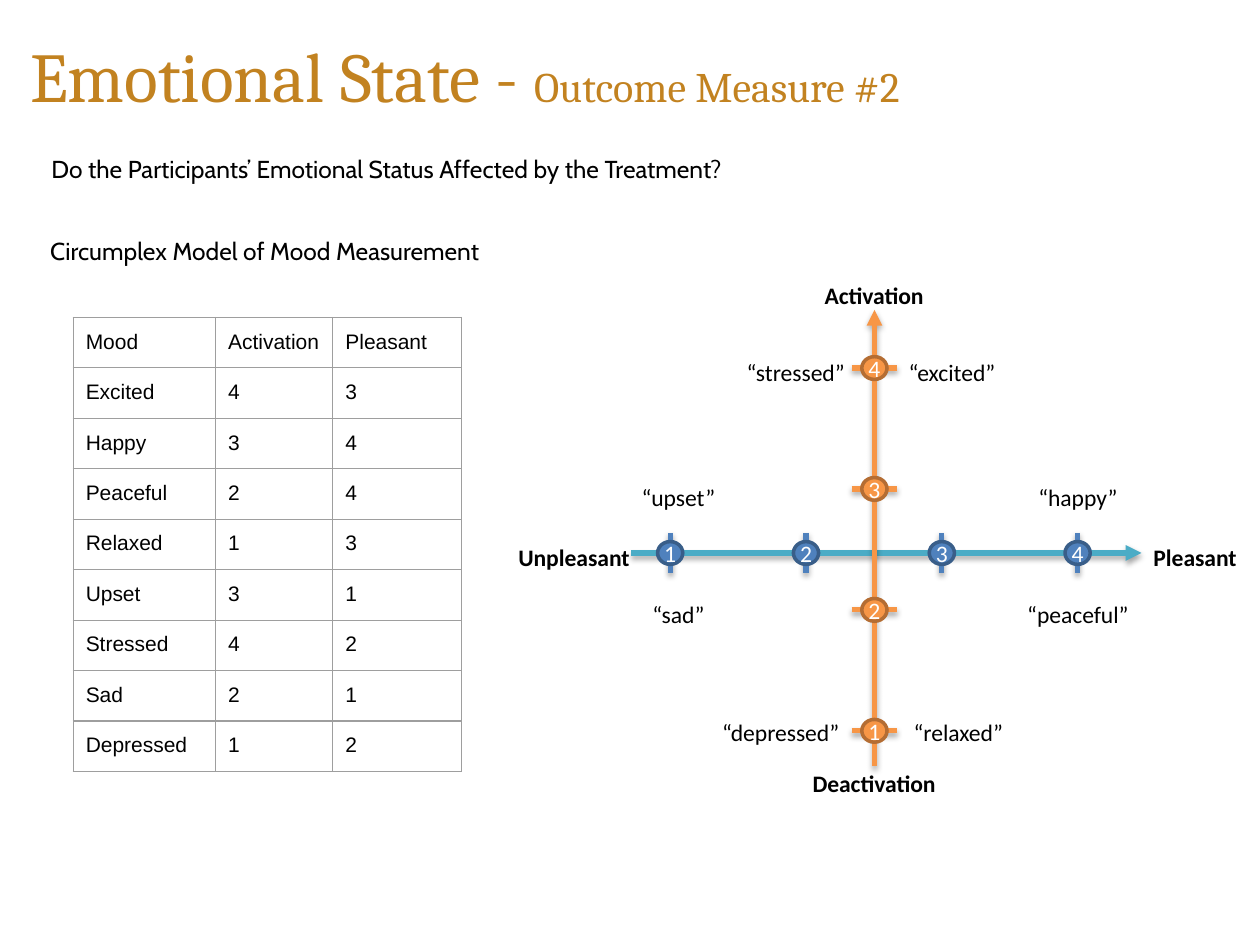
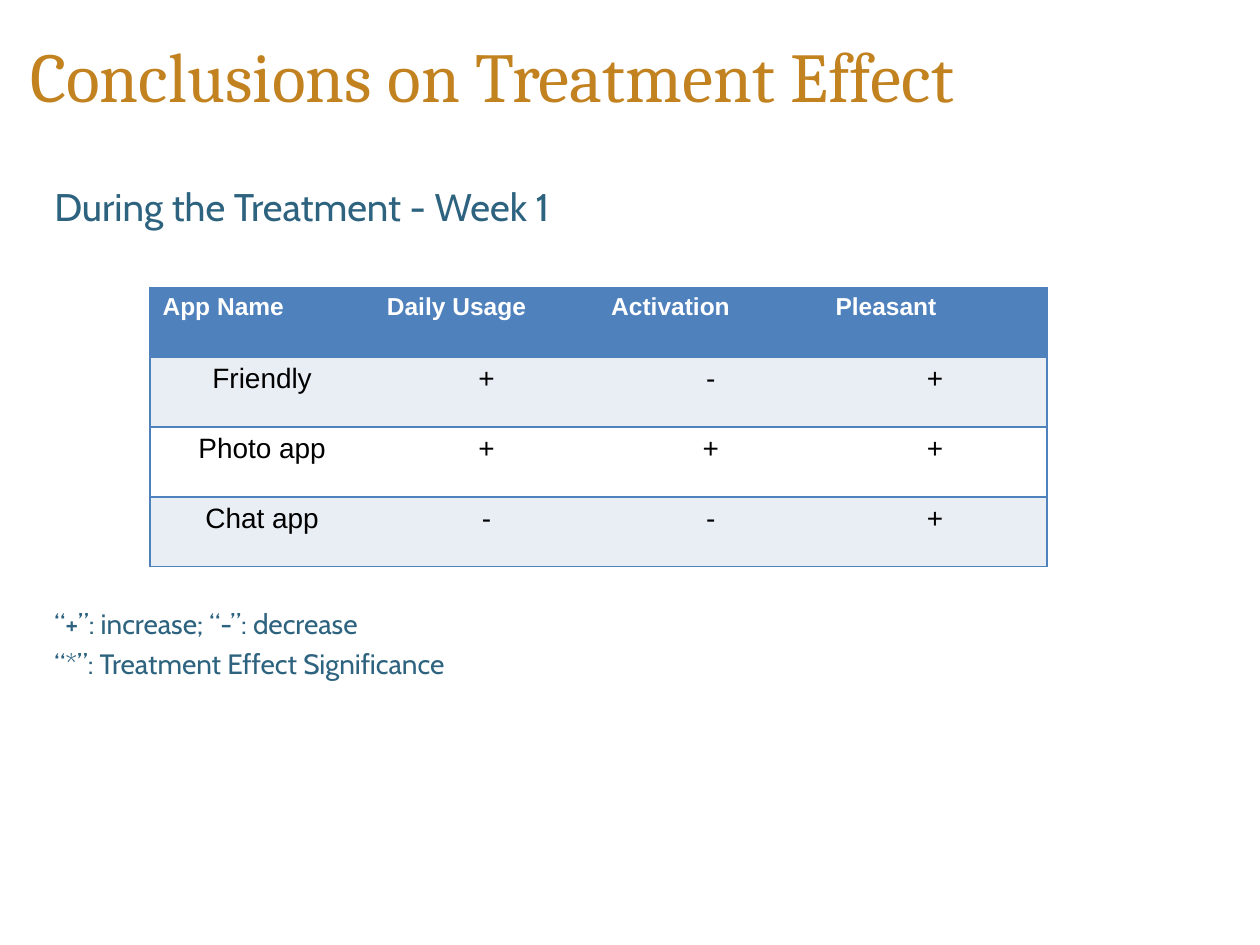
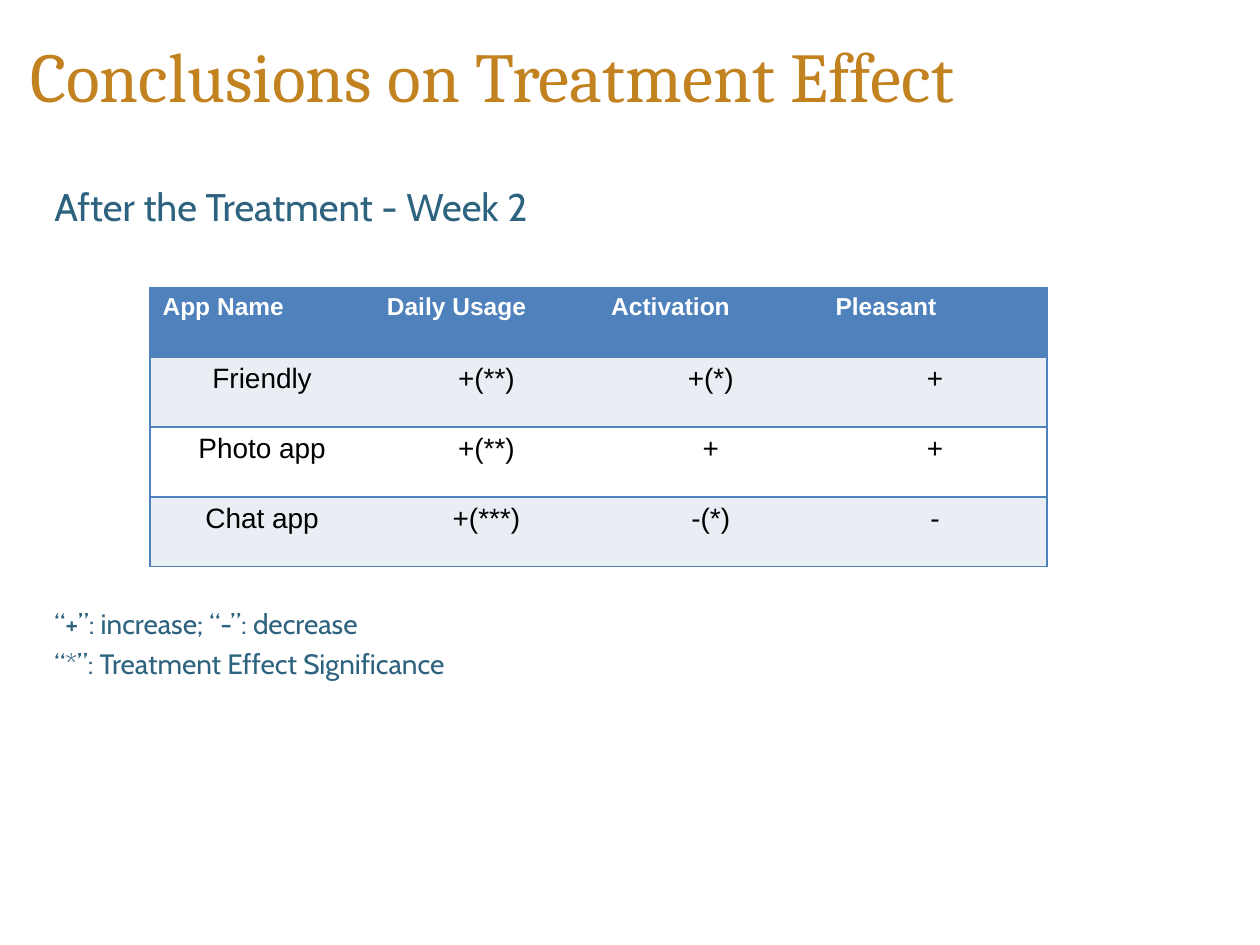
from pptx import Presentation
from pptx.dml.color import RGBColor
from pptx.enum.shapes import MSO_CONNECTOR, MSO_SHAPE
from pptx.enum.text import MSO_ANCHOR, MSO_AUTO_SIZE, PP_ALIGN
from pptx.oxml import parse_xml
from pptx.oxml.ns import nsdecls
from pptx.util import Pt


class Theme:
    gold, teal, black, white = "C28220", "2D637F", "000000", "FFFFFF"
    aqua, blue, blue_edge = "4BACC6", "4F81BD", "395E89"
    orange, orange_edge = "F79646", "B46D33"
    band, grid = "E9EDF4", "9E9E9E"
    title_font, body_font, label_font, table_font = "Cambria", "Cabin", "Calibri", "Arial"
    title, subtitle, heading, legend = 40, 24, 22, 16
    caption, label, cell, header, result = 14, 13.5, 12, 14, 16


PLAIN_TABLE = "{2D5ABB26-0587-4C30-8999-92F81FD0307C}"
SHADOW = (f'<a:effectLst {nsdecls("a")}><a:outerShdw blurRad="40000" dist="23000" '
          'dir="5400000" rotWithShape="0"><a:srgbClr val="000000">'
          '<a:alpha val="35000"/></a:srgbClr></a:outerShdw></a:effectLst>')


def write(paragraph, text, font, size, color=Theme.black, bold=False,
          align=PP_ALIGN.LEFT, before=0):
    paragraph.alignment = align
    paragraph.space_before = Pt(before)
    run = paragraph.add_run()
    run.text = text
    run.font.name, run.font.size, run.font.bold = font, Pt(size), bold
    run.font.color.rgb = RGBColor.from_string(color)


def add_grid(slide, left, top, widths, heights, edge, weight, inner_verticals):
    """Add an unstyled table with ruled cells."""
    frame = slide.shapes.add_table(len(heights), len(widths), Pt(left), Pt(top),
                                   Pt(sum(widths)), Pt(sum(heights)))
    table = frame.table
    table._tbl.tblPr[0].text = PLAIN_TABLE
    table.first_row = table.horz_banding = False
    for column, width in zip(table.columns, widths):
        column.width = Pt(width)
    for row, height in zip(table.rows, heights):
        row.height = Pt(height)
        for c, cell in enumerate(row.cells):
            sides = ["lnT", "lnB"]
            if inner_verticals or c == len(widths) - 1:
                sides.insert(0, "lnR")
            if inner_verticals or c == 0:
                sides.insert(0, "lnL")
            for side in sides:
                cell._tc.get_or_add_tcPr().append(parse_xml(
                    f'<a:{side} {nsdecls("a")} w="{Pt(weight)}"><a:solidFill>'
                    f'<a:srgbClr val="{edge}"/></a:solidFill></a:{side}>'))
    return table


prs = Presentation()
prs.slide_width, prs.slide_height = Pt(720), Pt(540)

# Slides and their titles
TITLE_AND_BODY, TITLE_ONLY = 1, 5
slides = []
for layout, title_runs in [
    (TITLE_ONLY, [("Emotional State - ", Theme.title), ("Outcome Measure #2", Theme.subtitle)]),
    (TITLE_AND_BODY, [("Conclusions on Treatment Effect", Theme.title)]),
    (TITLE_AND_BODY, [("Conclusions on Treatment Effect", Theme.title)]),
]:
    slide = prs.slides.add_slide(prs.slide_layouts[layout])
    title = slide.shapes.title
    title.left, title.top, title.width, title.height = Pt(10), Pt(12.2), Pt(701.3), Pt(61.2)
    title.text_frame.auto_size = MSO_AUTO_SIZE.NONE
    title.text_frame.vertical_anchor = MSO_ANCHOR.MIDDLE
    for text, size in title_runs:
        write(title.text_frame.paragraphs[0], text, Theme.title_font, size, Theme.gold)
    slides.append(slide)
mood_slide, *result_slides = slides

# Mood slide: axes and ticks
CENTER_X, CENTER_Y = 499.7, 316
pleasant_ticks = [383 + 77.6 * i for i in range(4)]
activation_ticks = [417.6 - 69.1 * i for i in range(4)]
lines = [(360.7, CENTER_Y, 652.3, CENTER_Y, Theme.aqua, True)]
lines += [(x, CENTER_Y - 11.5, x, CENTER_Y + 11.5, Theme.blue, False) for x in pleasant_ticks]
lines += [(CENTER_X, 437.8, CENTER_X, 177.1, Theme.orange, True)]
lines += [(CENTER_X - 13, y, CENTER_X + 13, y, Theme.orange, False) for y in activation_ticks]
for x1, y1, x2, y2, color, is_axis in lines:
    line = mood_slide.shapes.add_connector(MSO_CONNECTOR.STRAIGHT, Pt(x1), Pt(y1), Pt(x2), Pt(y2))
    line.line.width = Pt(3)
    line.line.color.rgb = RGBColor.from_string(color)
    if is_axis:
        line.line._get_or_add_ln().append(
            parse_xml(f'<a:tailEnd {nsdecls("a")} type="triangle"/>'))
    line._element.spPr.append(parse_xml(SHADOW))

# Mood slide: axis ends, moods and captions
label = dict(font=Theme.label_font, size=Theme.label, align=PP_ALIGN.CENTER)
axis_end = dict(label, bold=True)
caption = dict(font=Theme.body_font, size=Theme.caption)
for text, left, top, width, height, inset, style in [
    ("Activation", 458.8, 157, 81.4, 40.3, 3.6, axis_end),
    ("Deactivation", 451.6, 435.6, 95.8, 40.3, 3.6, axis_end),
    ("Pleasant", 642.2, 306.7, 81.4, 23.8, 3.6, axis_end),
    ("Unpleasant", 287.3, 306.7, 81.4, 23.8, 3.6, axis_end),
    ("“stressed”", 414, 200.9, 81.4, 23.8, 3.6, label),
    ("“excited”", 503.3, 200.9, 81.4, 23.8, 3.6, label),
    ("“upset”", 347, 272.2, 81.4, 23.8, 3.6, label),
    ("“happy”", 575.3, 272.2, 81.4, 23.8, 3.6, label),
    ("“sad”", 347, 339.1, 81.4, 23.8, 3.6, label),
    ("“peaceful”", 575.3, 339.1, 81.4, 23.8, 3.6, label),
    ("“depressed”", 405.4, 406.8, 81.4, 40.3, 3.6, label),
    ("“relaxed”", 506.9, 406.8, 81.4, 23.8, 3.6, label),
    ("Circumplex Model of Mood Measurement", 21.6, 127.4, 330.5, 351.4, 7.2, caption),
    ("Do the Participants’ Emotional Status Affected by the Treatment?",
     22.3, 80.6, 565.9, 39.6, 7.2, caption),
]:
    box = mood_slide.shapes.add_textbox(Pt(left), Pt(top), Pt(width), Pt(height)).text_frame
    box.word_wrap = True
    box.margin_top = box.margin_bottom = Pt(inset)
    write(box.paragraphs[0], text, **style)

# Mood slide: numbered points on the ticks
POINT_W, POINT_H = 14.4, 13
points = [(x, CENTER_Y, Theme.blue, Theme.blue_edge) for x in pleasant_ticks]
points += [(CENTER_X, y, Theme.orange, Theme.orange_edge) for y in activation_ticks]
for i, (x, y, fill, edge) in enumerate(points):
    point = mood_slide.shapes.add_shape(MSO_SHAPE.OVAL, Pt(x - POINT_W / 2), Pt(y - POINT_H / 2),
                                        Pt(POINT_W), Pt(POINT_H))
    point.shadow.inherit = False
    point.fill.solid()
    point.fill.fore_color.rgb = RGBColor.from_string(fill)
    point.line.color.rgb = RGBColor.from_string(edge)
    point.line.width = Pt(2)
    number = point.text_frame
    number.word_wrap = False
    number.vertical_anchor = MSO_ANCHOR.MIDDLE
    number.margin_left = number.margin_right = number.margin_top = number.margin_bottom = 0
    write(number.paragraphs[0], str(i % 4 + 1), color=Theme.white, **label)

# Mood slide: scores
scores = [
    ("Mood", "Activation", "Pleasant"),
    ("Excited", "4", "3"),
    ("Happy", "3", "4"),
    ("Peaceful", "2", "4"),
    ("Relaxed", "1", "3"),
    ("Upset", "3", "1"),
    ("Stressed", "4", "2"),
    ("Sad", "2", "1"),
    ("Depressed", "1", "2"),
]
score_table = add_grid(mood_slide, 41.8, 181.4, [81.4, 67, 73.4], [28] + [28.8] * 8,
                       Theme.grid, 0.75, inner_verticals=True)
for r, row in enumerate(scores):
    for c, text in enumerate(row):
        cell = score_table.cell(r, c)
        cell.fill.background()
        cell.margin_left = cell.margin_right = cell.margin_top = cell.margin_bottom = Pt(7.2)
        write(cell.text_frame.paragraphs[0], text, Theme.table_font, Theme.cell)

# Result slides: heading, legend and effects by app
columns = ("App Name", "Daily Usage", "Activation", "Pleasant")
results = [
    ("During the Treatment - Week 1", [("Friendly", "+", "-", "+"),
                                       ("Photo app", "+", "+", "+"),
                                       ("Chat app", "-", "-", "+")]),
    ("After the Treatment - Week 2", [("Friendly", "+(**)", "+(*)", "+"),
                                      ("Photo app", "+(**)", "+", "+"),
                                      ("Chat app", "+(***)", "-(*)", "-")]),
]
for slide, (heading, effects) in zip(result_slides, results):
    body = slide.placeholders[1]
    body.left, body.top, body.width, body.height = Pt(23.8), Pt(97.2), Pt(696.2), Pt(43.9)
    frame = body.text_frame
    frame.auto_size = MSO_AUTO_SIZE.NONE
    frame.margin_top = Pt(7.2)
    for i, (text, size, before) in enumerate([
        (heading, Theme.heading, 0),
        ("“+”: increase; “-”: decrease", Theme.legend, 215.6),
        ("“*”: Treatment Effect Significance", Theme.legend, 3.6),
    ]):
        paragraph = frame.add_paragraph() if i else frame.paragraphs[0]
        properties = paragraph._p.get_or_add_pPr()
        properties.set("marL", "0")
        properties.set("indent", "0")
        properties.append(parse_xml(f'<a:buNone {nsdecls("a")}/>'))
        write(paragraph, text, Theme.body_font, size, Theme.teal, before=before)

    effect_table = add_grid(slide, 85.7, 164.2, [128.2] * 4, [39.9] * 4,
                            Theme.blue, 1, inner_verticals=False)
    for r, row in enumerate([columns] + effects):
        fill = Theme.blue if r == 0 else Theme.band if r % 2 else Theme.white
        style = (dict(size=Theme.header, color=Theme.white, bold=True) if r == 0
                 else dict(size=Theme.result, align=PP_ALIGN.CENTER))
        for c, text in enumerate(row):
            cell = effect_table.cell(r, c)
            cell.fill.solid()
            cell.fill.fore_color.rgb = RGBColor.from_string(fill)
            write(cell.text_frame.paragraphs[0], text, Theme.table_font, **style)

prs.save("out.pptx")
